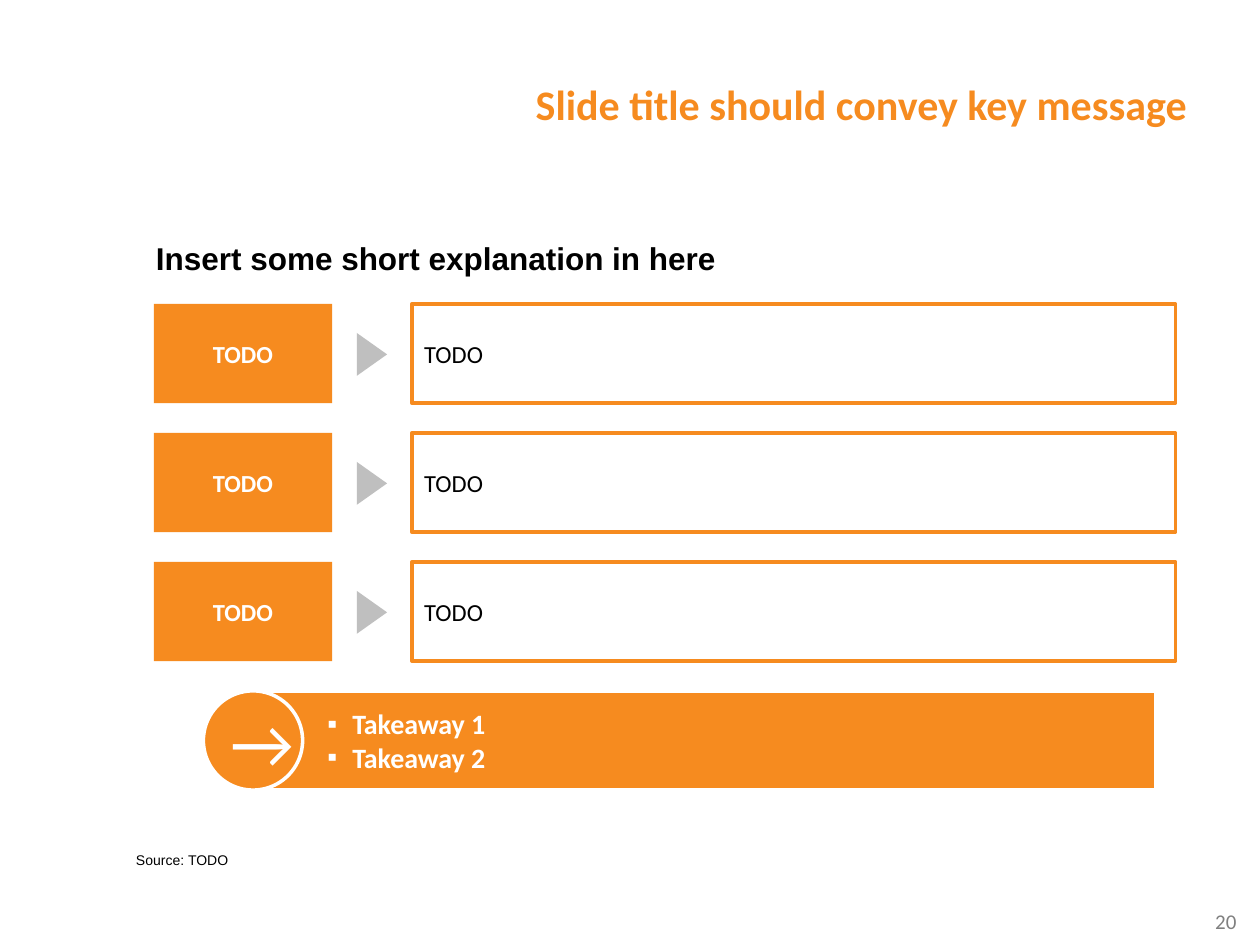
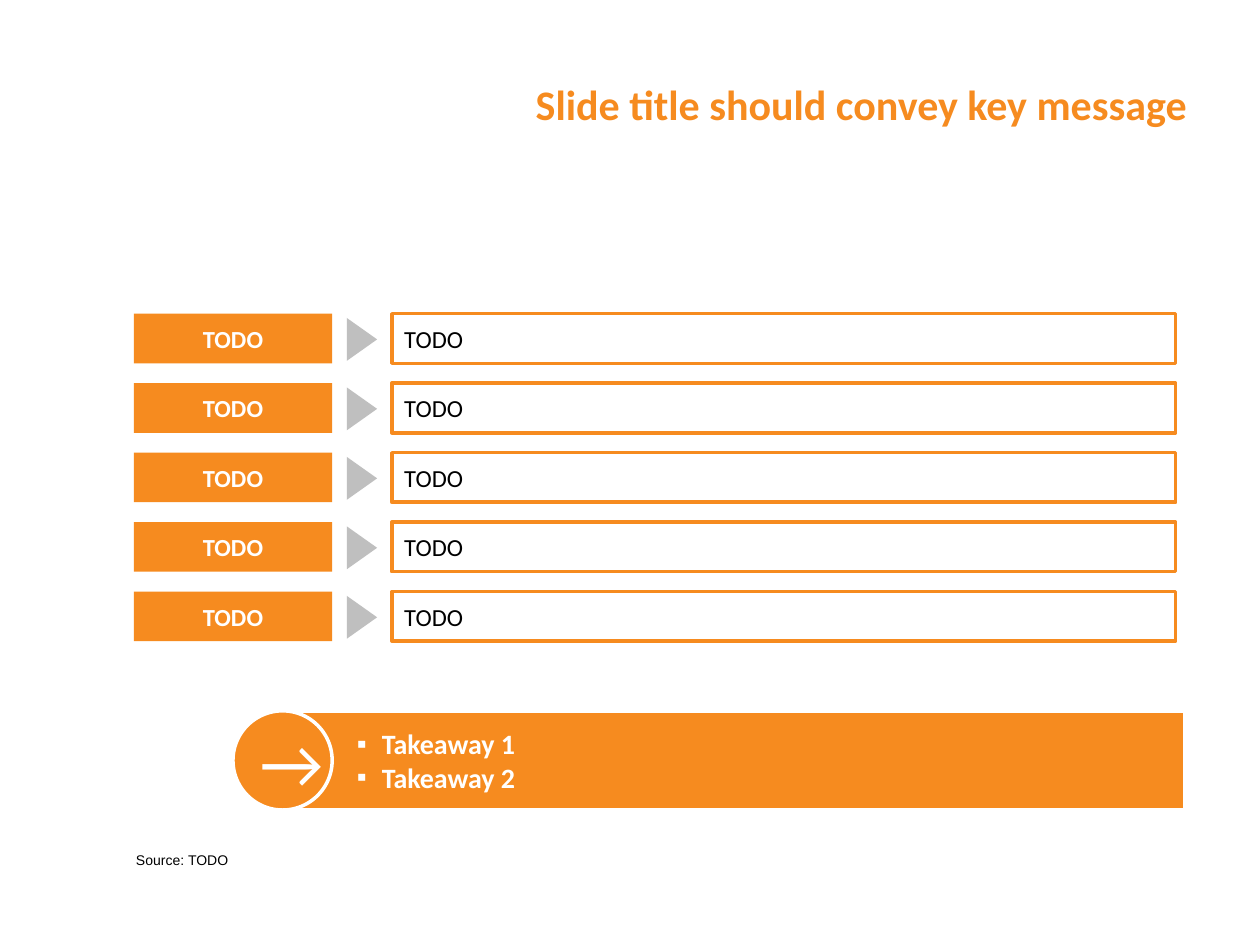
from lxml.etree import SubElement
from pptx import Presentation
from pptx.dml.color import RGBColor
from pptx.enum.shapes import MSO_SHAPE
from pptx.enum.text import MSO_ANCHOR, PP_ALIGN
from pptx.oxml.ns import qn
from pptx.util import Pt

ORANGE = RGBColor(0xF6, 0x8B, 0x1F)
WHITE = RGBColor(0xFF, 0xFF, 0xFF)
BLACK = RGBColor(0x00, 0x00, 0x00)
SILVER = RGBColor(0xBF, 0xBF, 0xBF)
GRAY = RGBColor(0x80, 0x80, 0x80)

TITLE = "Slide title should convey key message"
SOURCE = "Source: TODO"
TAKEAWAYS = ["Takeaway 1", "Takeaway 2"]
SLIDES = [
    {"heading": "Insert some short explanation in here", "number": "20",
     "rows": [("TODO", "TODO")] * 3, "left": 87.9, "top": 173.7,
     "height": 56.7, "pitch": 73.7, "takeaway": (144.6, 394.8)},
    {"rows": [("TODO", "TODO")] * 5, "left": 76.5, "top": 179.3,
     "height": 28.35, "pitch": 39.7, "takeaway": (161.5, 406.2)},
]

LABEL_RIGHT = 189.8
DETAIL_RIGHT = 671.8
DETAIL_OFFSET = 147.4  # from the left edge of the label
ARROW_W, ARROW_H = 24.5, 17.3  # before the quarter turn
BAR_W, BAR_H = 515.6, 56.7


def write(tf, lines, size, color, font="Calibri", bold=False,
          align=PP_ALIGN.LEFT, anchor=MSO_ANCHOR.TOP):
    tf.word_wrap = True
    tf.vertical_anchor = anchor
    tf.text = "\n".join(lines)
    for p in tf.paragraphs:
        p.alignment = align
        for r in p.runs:
            r.font.name, r.font.size, r.font.bold = font, Pt(size), bold
            r.font.color.rgb = color


def add_text(s, box, text, size, color, **style):
    tf = s.shapes.add_textbox(*map(Pt, box)).text_frame
    write(tf, [text], size, color, **style)
    return tf


def add_block(shapes, kind, box, fill=None, line=None):
    sp = shapes.add_shape(kind, *map(Pt, box))
    sp.shadow.inherit = False
    if fill is None:
        sp.fill.background()
    else:
        sp.fill.solid()
        sp.fill.fore_color.rgb = fill
    if line is None:
        sp.line.fill.background()
    else:
        sp.line.color.rgb = line
        sp.line.width = Pt(2)
    return sp


def add_bullet(p):
    pPr = p._p.get_or_add_pPr()
    pPr.set("marL", str(Pt(14.2)))
    pPr.set("indent", str(-Pt(14.2)))
    SubElement(pPr, qn("a:buFont"), typeface="Arial")
    SubElement(pPr, qn("a:buChar"), char="▪")


def add_row(s, label, detail, left, top, height):
    """Label, pointer halfway across the gap, and outlined detail."""
    detail_left = left + DETAIL_OFFSET
    sp = add_block(s.shapes, MSO_SHAPE.RECTANGLE,
                   (left, top, LABEL_RIGHT - left, height), ORANGE)
    write(sp.text_frame, [label], 14, WHITE, bold=True,
          align=PP_ALIGN.CENTER, anchor=MSO_ANCHOR.MIDDLE)
    middle_x = (LABEL_RIGHT + detail_left) / 2
    middle_y = top + height / 2 + 0.5
    pointer = add_block(s.shapes, MSO_SHAPE.ISOSCELES_TRIANGLE,
                        (middle_x - ARROW_W / 2, middle_y - ARROW_H / 2,
                         ARROW_W, ARROW_H), SILVER)
    pointer.rotation = 90
    sp = add_block(s.shapes, MSO_SHAPE.RECTANGLE,
                   (detail_left, top, DETAIL_RIGHT - detail_left, height),
                   line=ORANGE)
    write(sp.text_frame, [detail], 14, BLACK, anchor=MSO_ANCHOR.MIDDLE)


def add_takeaway(s, left, top):
    shapes = s.shapes.add_group_shape().shapes
    bar = add_block(shapes, MSO_SHAPE.RECTANGLE,
                    (left, top, BAR_W, BAR_H), ORANGE, WHITE)
    tf = bar.text_frame
    tf.margin_left = Pt(42.5)
    write(tf, TAKEAWAYS, 16, WHITE, bold=True, anchor=MSO_ANCHOR.MIDDLE)
    for p in tf.paragraphs:
        add_bullet(p)
    circle = add_block(shapes, MSO_SHAPE.OVAL,
                       (left - BAR_H / 2, top, BAR_H, BAR_H), ORANGE, WHITE)
    write(circle.text_frame, ["→"], 40, WHITE,
          align=PP_ALIGN.CENTER, anchor=MSO_ANCHOR.MIDDLE)


def add_frame(s, number=None):
    tf = add_text(s, (241.2, 0, 444.2, 77), TITLE, 24, ORANGE, bold=True,
                  align=PP_ALIGN.RIGHT, anchor=MSO_ANCHOR.BOTTOM)
    tf.paragraphs[0].line_spacing = Pt(29)
    add_text(s, (70.6, 483.1, 300, 17), SOURCE, 8, BLACK, font="Arial")
    if number:
        add_text(s, (545.8, 515.5, 167.8, 26.6), number, 12, GRAY,
                 align=PP_ALIGN.RIGHT)


def main():
    prs = Presentation()
    prs.slide_width, prs.slide_height = Pt(720), Pt(540)
    for content in SLIDES:
        s = prs.slides.add_slide(prs.slide_layouts[6])
        add_frame(s, content.get("number"))
        if "heading" in content:
            add_text(s, (82, 133.2, 584, 29), content["heading"], 18, BLACK,
                     font="Arial", bold=True)
        for i, (label, detail) in enumerate(content["rows"]):
            add_row(s, label, detail, content["left"],
                    content["top"] + i * content["pitch"], content["height"])
        add_takeaway(s, *content["takeaway"])
    prs.save("out.pptx")


if __name__ == "__main__":
    main()
